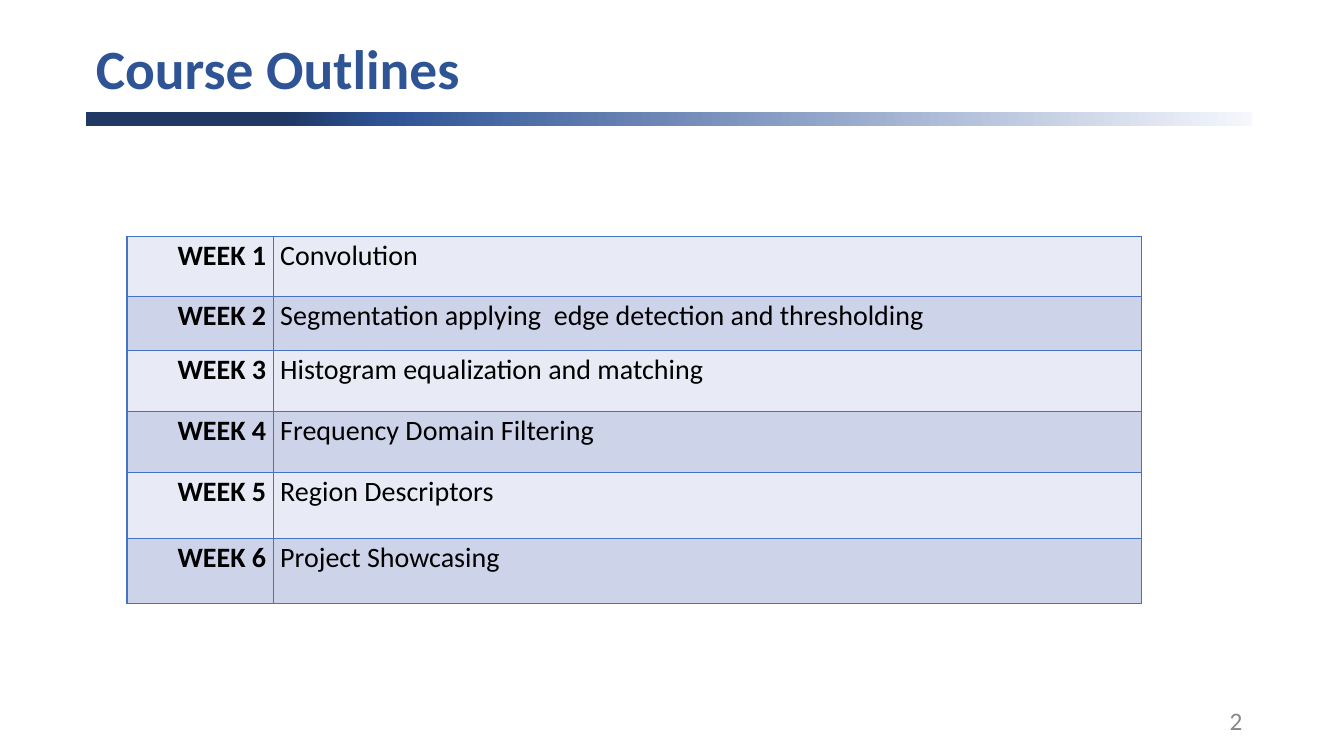
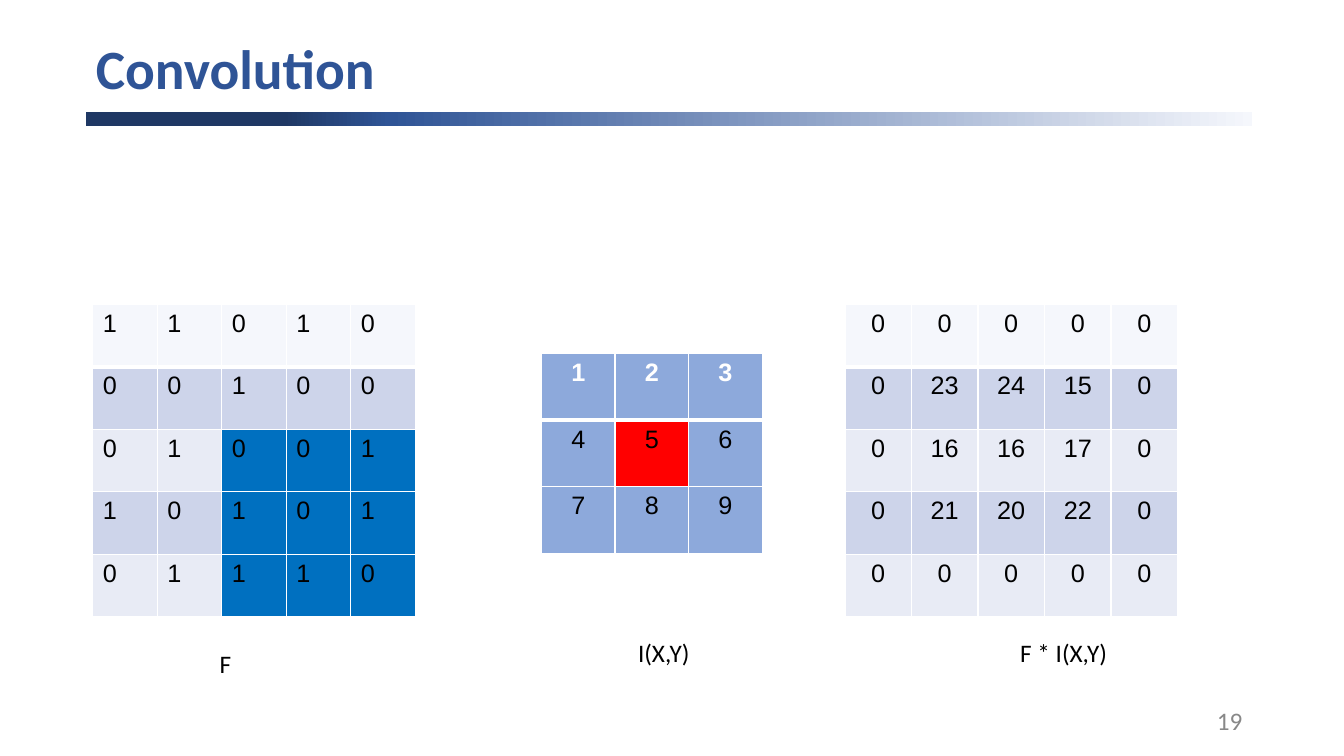
"""Builds the course outline slide and the convolution example slide."""
from dataclasses import dataclass

from lxml.etree import SubElement
from pptx import Presentation
from pptx.dml.color import RGBColor
from pptx.enum.shapes import MSO_SHAPE
from pptx.enum.text import MSO_ANCHOR, MSO_AUTO_SIZE, PP_ALIGN
from pptx.oxml.ns import qn
from pptx.util import Pt

PX = 9144
COLOURS = {
    "title": "2F5496",
    "navy": "1F3864",
    "pale": "F5F7FC",
    "light": "E8EBF5",
    "shade": "CDD4EA",
    "rule": "4472C4",
    "kernel": "8DA9DB",
    "window": "0070C0",
    "centre": "FF0000",
    "number": "888888",
    "black": "000000",
    "white": "FFFFFF",
}
BAND_STOPS = [(0, "pale"), (74, "title"), (83, "navy"), (100, "navy")]
TITLE_BOX = (85, 36, 1150, 69)
BAND_BOX = (85, 111, 1157, 14)
NUMBER_BOX = (942, 695, 300, 40)

WEEKS = [
    "Convolution",
    "Segmentation applying  edge detection and thresholding",
    "Histogram equalization and matching",
    "Frequency Domain Filtering",
    "Region Descriptors",
    "Project Showcasing",
]
WEEK_HEIGHTS = [59, 54, 60, 61, 65, 65]
IMAGE = [
    [1, 1, 0, 1, 0],
    [0, 0, 1, 0, 0],
    [0, 1, 0, 0, 1],
    [1, 0, 1, 0, 1],
    [0, 1, 1, 1, 0],
]
KERNEL = [[1, 2, 3], [4, 5, 6], [7, 8, 9]]
RESULT = [
    [0, 0, 0, 0, 0],
    [0, 23, 24, 15, 0],
    [0, 16, 16, 17, 0],
    [0, 21, 20, 22, 0],
    [0, 0, 0, 0, 0],
]


@dataclass
class CellStyle:
    """Look of one table cell."""
    fill: str
    font: str = "Arial"
    size: float = 18
    colour: str = "black"
    bold: bool = False
    align: PP_ALIGN = PP_ALIGN.CENTER
    spacing: float = 1.0
    margins: tuple = (10, 5)
    border: str = "white"
    top: int = 1
    bottom: int = 1


def px(*lengths):
    """Turn px lengths into EMU."""
    return [length * PX for length in lengths]


def rgb(name):
    """Look up a named colour."""
    return RGBColor.from_string(COLOURS[name])


def write(paragraph, text, font, size, colour, bold=False, align=PP_ALIGN.LEFT, spacing=1.0):
    """Add one formatted run to a paragraph."""
    paragraph.alignment = align
    paragraph.line_spacing = spacing
    run = paragraph.add_run()
    run.text = text
    run.font.name = font
    run.font.size = Pt(size)
    run.font.bold = bold
    run.font.color.rgb = rgb(colour)


def add_label(slide, box, text, colour="black", align=PP_ALIGN.LEFT, anchor=MSO_ANCHOR.TOP):
    """Place a single line of text."""
    frame = slide.shapes.add_textbox(*px(*box)).text_frame
    frame.word_wrap = align != PP_ALIGN.LEFT
    frame.vertical_anchor = anchor
    write(frame.paragraphs[0], text, "Calibri", 18, colour, align=align)


def add_band(slide, box):
    """Draw the gradient band under the title."""
    band = slide.shapes.add_shape(MSO_SHAPE.RECTANGLE, *px(*box))
    band.shadow.inherit = False
    band.line.fill.background()
    band.fill.gradient()
    band.fill.gradient_angle = 180
    stops = band.fill._fill._gradFill.find(qn("a:gsLst"))
    for stop in list(stops):
        stops.remove(stop)
    for position, name in BAND_STOPS:
        stop = SubElement(stops, qn("a:gs"), pos=str(position * 1000))
        SubElement(stop, qn("a:srgbClr"), val=COLOURS[name])


def add_titled_slide(deck, title, number):
    """Start a slide with title, band and page number."""
    slide = deck.slides.add_slide(deck.slide_layouts[5])
    add_band(slide, BAND_BOX)
    heading = slide.shapes.title
    heading.left, heading.top, heading.width, heading.height = px(*TITLE_BOX)
    frame = heading.text_frame
    frame.auto_size = MSO_AUTO_SIZE.NONE
    frame.vertical_anchor = MSO_ANCHOR.MIDDLE
    write(frame.paragraphs[0], title, "Calibri", 39.6, "title", bold=True, spacing=0.9)
    add_label(slide, NUMBER_BOX, str(number), "number", PP_ALIGN.RIGHT, MSO_ANCHOR.MIDDLE)
    return slide


def format_cell(cell, text, style):
    """Fill, outline and write one cell."""
    properties = cell._tc.get_or_add_tcPr()
    edges = {"lnL": 1, "lnR": 1, "lnT": style.top, "lnB": style.bottom}
    for edge, width in edges.items():
        line = SubElement(properties, qn(f"a:{edge}"), w=str(Pt(width)))
        solid = SubElement(line, qn("a:solidFill"))
        SubElement(solid, qn("a:srgbClr"), val=COLOURS[style.border])
    cell.fill.solid()
    cell.fill.fore_color.rgb = rgb(style.fill)
    side, end = px(*style.margins)
    cell.margin_left = cell.margin_right = side
    cell.margin_top = cell.margin_bottom = end
    write(cell.text_frame.paragraphs[0], text, style.font, style.size,
          style.colour, style.bold, style.align, style.spacing)


def add_grid(slide, origin, widths, heights, rows, style_for):
    """Build a table whose cell styles come from a row and column rule."""
    size = (sum(widths), sum(heights))
    table = slide.shapes.add_table(len(rows), len(widths), *px(*origin, *size)).table
    table.first_row = table.horz_banding = False
    for column, width in zip(table.columns, widths):
        column.width = width * PX
    for row, height in zip(table.rows, heights):
        row.height = height * PX
    for r, values in enumerate(rows):
        for c, value in enumerate(values):
            format_cell(table.cell(r, c), str(value), style_for(r, c))


def week_style(row, column):
    """Style the schedule: bold right-aligned weeks, plain topics."""
    is_week = column == 0
    return CellStyle(
        "shade" if row % 2 else "light", "Calibri", 20, bold=is_week,
        align=PP_ALIGN.RIGHT if is_week else PP_ALIGN.LEFT,
        spacing=1.07, margins=(7, 0), border="rule")


def matrix_style(row, fill, **look):
    """Style a matrix cell with a thick rule below the first row."""
    return CellStyle(fill, top=3 if row == 1 else 1, bottom=3 if row == 0 else 1, **look)


def banded_fill(row):
    """Pick the fill of a banded matrix row."""
    if row == 0:
        return "pale"
    return "shade" if row % 2 else "light"


def image_style(row, column):
    """Highlight the lower right window of the image."""
    fill = "window" if row >= 2 and column >= 2 else banded_fill(row)
    return matrix_style(row, fill, align=PP_ALIGN.LEFT)


def kernel_style(row, column):
    """Mark the kernel's centre and its heading row."""
    fill = "centre" if row == column == 1 else "kernel"
    is_first = row == 0
    return matrix_style(row, fill, bold=is_first, colour="white" if is_first else "black")


def result_style(row, column):
    """Style the filtered result."""
    return matrix_style(row, banded_fill(row))


def add_matrix(slide, origin, cell_size, values, style_for, caption, caption_box):
    """Place a matrix of equal cells and its caption, offset from the origin."""
    width, height = cell_size
    add_grid(slide, origin, [width] * len(values[0]), [height] * len(values), values, style_for)
    left, top = origin
    dx, dy, *size = caption_box
    add_label(slide, (left + dx, top + dy, *size), caption)


def build_outline(deck):
    """Build the weekly schedule slide."""
    slide = add_titled_slide(deck, "Course Outlines", 2)
    rows = [(f"WEEK {week}", topic) for week, topic in enumerate(WEEKS, 1)]
    add_grid(slide, (126, 235), [145, 861], WEEK_HEIGHTS, rows, week_style)


def build_convolution(deck):
    """Build the slide with image, kernel and result."""
    slide = add_titled_slide(deck, "Convolution", 19)
    add_matrix(slide, (92, 302), (64, 62), IMAGE, image_style, "F", (116, 336, 32, 40))
    add_matrix(slide, (537, 351), (73, 66), KERNEL, kernel_style, "I(X,Y)", (86, 276, 72, 40))
    add_matrix(slide, (838, 302), (66, 62), RESULT, result_style, "F * I(X,Y)", (164, 325, 108, 40))


def main():
    """Build and save the deck."""
    deck = Presentation()
    deck.slide_width, deck.slide_height = px(1333, 750)
    build_outline(deck)
    build_convolution(deck)
    deck.save("out.pptx")


if __name__ == "__main__":
    main()
